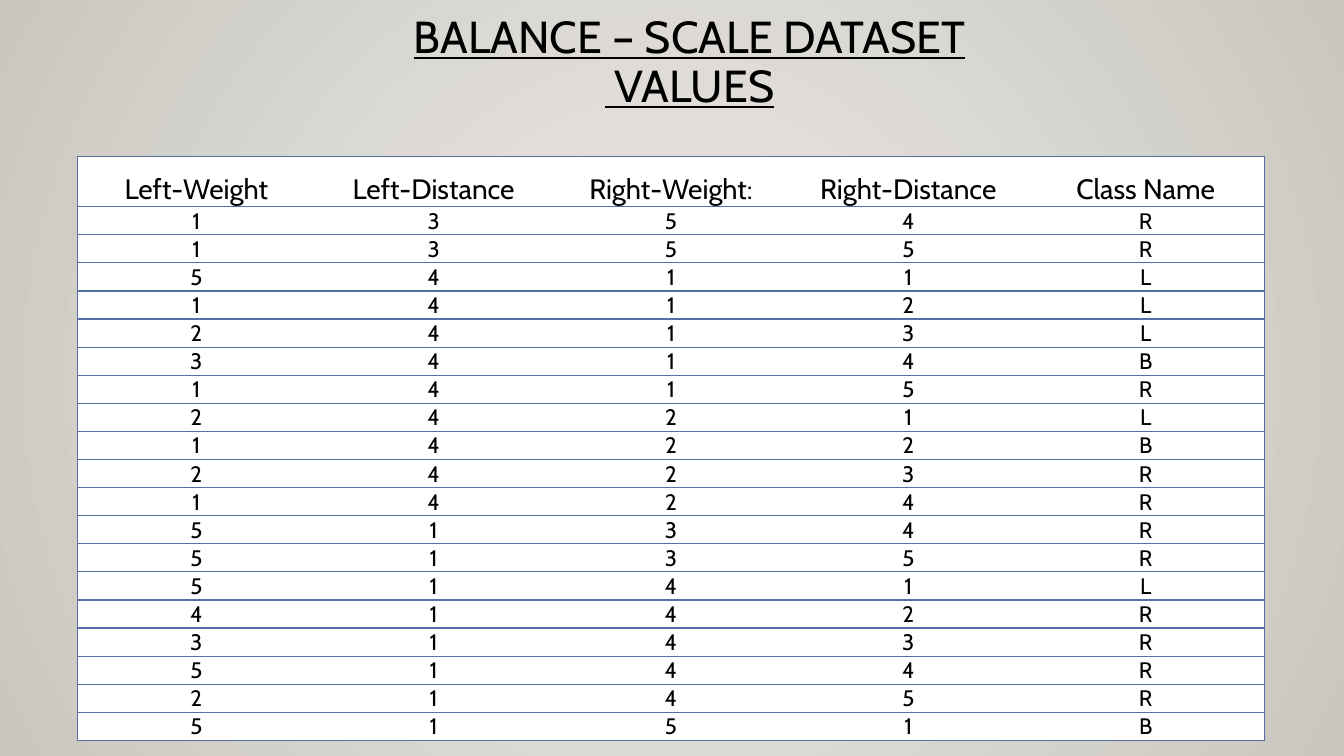
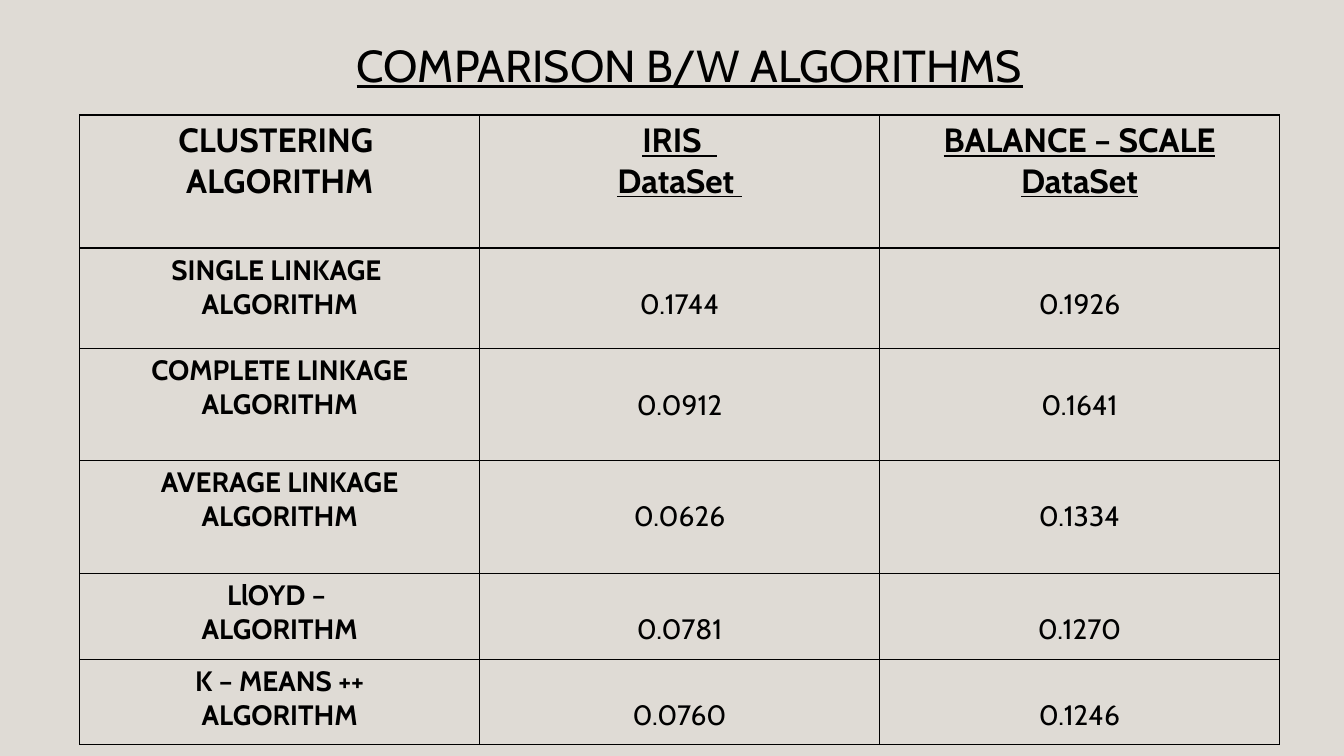
from lxml.etree import SubElement
from pptx import Presentation
from pptx.dml.color import RGBColor
from pptx.enum.text import MSO_ANCHOR, MSO_AUTO_SIZE, PP_ALIGN
from pptx.oxml.ns import qn
from pptx.util import Inches, Pt

FONT = "Cabin"
COLORS = {
    "text": "000000",
    "paper": "FFFFFF",
    "plain": "DFDBD5",
    "glow": "ECEAE7",
    "edge": "CAC7C1",
    "rule": "586EA6",
    "grid": "000000",
}
TITLE_ONLY = 5
NO_GRID_STYLE = "{2D5ABB26-0587-4C30-8999-92F81FD0307C}"

BALANCE_HEADER = ["Left-Weight", "Left-Distance", "Right-Weight:", "Right-Distance", "Class Name"]
BALANCE_ROWS = (
    "1354R 1355R 5411L 1412L 2413L 3414B 1415R 2421L 1422B 2423R "
    "1424R 5134R 5135R 5141L 4142R 3143R 5144R 2145R 5151B"
).split()

COMPARISON_HEADER = ["CLUSTERING \nALGORITHM", "IRIS  \nDataSet ", "BALANCE – SCALE\nDataSet"]
COMPARISON_ROWS = [
    ["SINGLE LINKAGE \nALGORITHM", "0.1744", "0.1926"],
    ["COMPLETE LINKAGE ALGORITHM", "0.0912", "0.1641"],
    ["AVERAGE LINKAGE ALGORITHM", "0.0626", "0.1334"],
    ["LlOYD – \nALGORITHM", "0.0781", "0.1270"],
    ["K – MEANS ++\nALGORITHM", "0.0760", "0.1246"],
]


def color(name):
    return RGBColor.from_string(COLORS[name])


def format_text(text_frame, size, bold=False, underline=False):
    for paragraph in text_frame.paragraphs:
        paragraph.alignment = PP_ALIGN.CENTER
        for run in paragraph.runs:
            run.font.name = FONT
            run.font.size = Pt(size)
            run.font.bold = bold
            run.font.underline = underline
            run.font.color.rgb = color("text")


def add_titled_slide(presentation, text, top):
    slide = presentation.slides.add_slide(presentation.slide_layouts[TITLE_ONLY])
    title = slide.shapes.title
    title.left, title.top = Inches(1.59), Inches(top)
    title.width, title.height = Inches(10.5), Inches(1.29)
    text_frame = title.text_frame
    text_frame.text = text
    text_frame.word_wrap = True
    text_frame.auto_size = MSO_AUTO_SIZE.NONE
    text_frame.vertical_anchor = MSO_ANCHOR.TOP
    format_text(text_frame, 32, underline=True)
    for paragraph in text_frame.paragraphs:
        paragraph.line_spacing = 0.9
    return slide


def paint_radial_background(slide):
    fill = slide.background.fill
    fill.gradient()
    for stop, name in zip(fill.gradient_stops, ("glow", "edge")):
        stop.color.rgb = color(name)
    gradient = slide.element.find(".//" + qn("a:gradFill"))
    gradient.remove(gradient.find(qn("a:lin")))
    circle = SubElement(gradient, qn("a:path"), {"path": "circle"})
    SubElement(circle, qn("a:fillToRect"), {side: "50000" for side in "ltrb"})


def add_borders(cell, sides, name):
    properties = cell._tc.get_or_add_tcPr()
    for side in sides:
        line = SubElement(properties, qn("a:ln" + side), {"w": str(Pt(1))})
        fill = SubElement(line, qn("a:solidFill"))
        SubElement(fill, qn("a:srgbClr"), {"val": COLORS[name]})


def add_plain_table(slide, box, rows, heights):
    left, top, width = box
    column_count = len(rows[0])
    frame = slide.shapes.add_table(
        len(rows), column_count, Inches(left), Inches(top), Inches(width), Inches(sum(heights))
    )
    frame.element.find(".//" + qn("a:tableStyleId")).text = NO_GRID_STYLE
    table = frame.table
    table.first_row = table.horz_banding = False
    for column in table.columns:
        column.width = Inches(width / column_count)
    for row, height, texts in zip(table.rows, heights, rows):
        row.height = Inches(height)
        for cell, text in zip(row.cells, texts):
            cell.text_frame.text = text
    return table


def add_balance_table(slide, box):
    rows = [BALANCE_HEADER, *BALANCE_ROWS]
    table = add_plain_table(slide, box, rows, [0.5] + [0.27] * len(BALANCE_ROWS))
    last_column = len(BALANCE_HEADER) - 1
    for row_index, row in enumerate(table.rows):
        for column_index, cell in enumerate(row.cells):
            outer_side = {0: "L", last_column: "R"}.get(column_index, "")
            add_borders(cell, outer_side + "TB", "rule")
            cell.fill.solid()
            cell.fill.fore_color.rgb = color("paper")
            cell.vertical_anchor = MSO_ANCHOR.BOTTOM
            cell.margin_left = cell.margin_right = cell.margin_top = Inches(0.01)
            cell.margin_bottom = 0
            format_text(cell.text_frame, 16 if row_index else 20)


def add_comparison_table(slide, box):
    rows = [COMPARISON_HEADER, *COMPARISON_ROWS]
    table = add_plain_table(slide, box, rows, [1.32, 1, 1.11, 1.12, 0.85, 0.85])
    for row_index, row in enumerate(table.rows):
        for column_index, cell in enumerate(row.cells):
            is_header = row_index == 0
            is_label = column_index == 0
            add_borders(cell, "LRTB", "grid")
            cell.fill.background()
            if not is_header and not is_label:
                cell.margin_top = Inches(0.39)
            format_text(
                cell.text_frame,
                24 if is_header else 20,
                bold=is_header or is_label,
                underline=is_header and not is_label,
            )


def build_balance_slide(presentation):
    slide = add_titled_slide(presentation, "BALANCE – SCALE DATASET\v VALUES", 0.1)
    paint_radial_background(slide)
    add_balance_table(slide, (0.77, 1.55, 11.77))


def build_comparison_slide(presentation):
    slide = add_titled_slide(presentation, "COMPARISON B/W ALGORITHMS", 0.38)
    slide.background.fill.solid()
    slide.background.fill.fore_color.rgb = color("plain")
    add_comparison_table(slide, (0.79, 1.14, 11.9))


def main():
    presentation = Presentation()
    presentation.slide_width = Inches(13.33)
    presentation.slide_height = Inches(7.5)
    build_balance_slide(presentation)
    build_comparison_slide(presentation)
    presentation.save("out.pptx")


if __name__ == "__main__":
    main()
